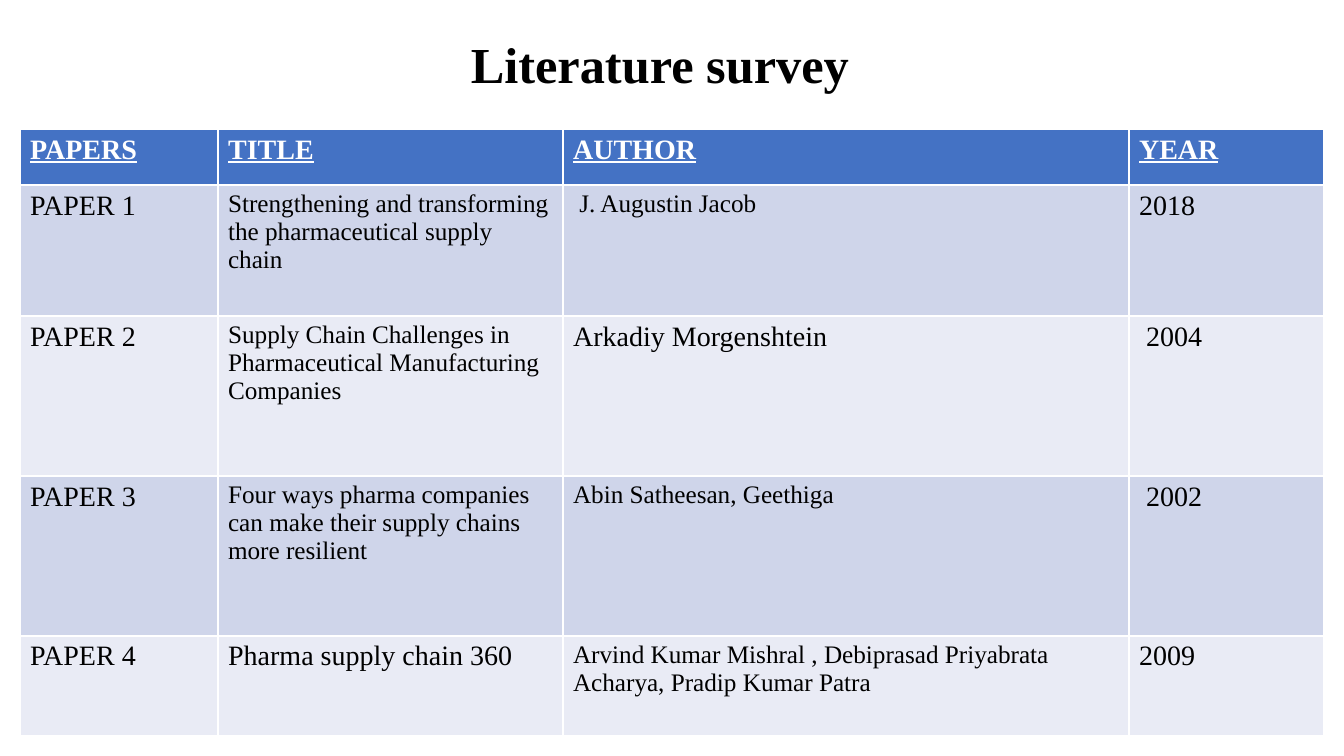
from pptx import Presentation
from pptx.dml.color import RGBColor
from pptx.enum.text import PP_ALIGN
from pptx.util import Pt

CENTER = PP_ALIGN.CENTER
FONT = "Times New Roman"
COLORS = {"head": "4472C4", "odd": "CFD5EA", "even": "E9EBF5",
          "light": "FFFFFF", "dark": "000000"}
SCALE = 12192000 / 1344


def px(n):
    return round(n * SCALE)


def style(para, size, color, bold=False, under=False):
    font = para.font
    font.name = FONT
    font.size = Pt(size)
    font.bold = bold
    font.underline = under
    font.color.rgb = RGBColor.from_string(COLORS[color])


deck = Presentation()
deck.slide_width, deck.slide_height = px(1344), px(756)
slide = deck.slides.add_slide(deck.slide_layouts[6])

title = slide.shapes.add_textbox(px(324), px(28), px(672), px(71)).text_frame
title.word_wrap = True
title.text = "Literature survey"
title.paragraphs[0].alignment = CENTER
style(title.paragraphs[0], 36, "dark", bold=True)

widths = [198, 345, 566, 195]
heights = [56, 131, 160, 160, 100]
papers = [
    [("PAPERS", 20), ("TITLE", 20), ("AUTHOR", 20), ("YEAR", 20)],
    [("PAPER 1", 20),
     ("Strengthening and transforming the pharmaceutical supply chain", 18),
     (" J. Augustin Jacob", 18), ("2018", 20)],
    [("PAPER 2", 20),
     ("Supply Chain Challenges in Pharmaceutical Manufacturing Companies", 18),
     ("Arkadiy Morgenshtein", 20), (" 2004", 20)],
    [("PAPER 3", 20),
     ("Four ways pharma companies can make their supply chains more resilient", 18),
     ("Abin Satheesan, Geethiga", 18), (" 2002", 20)],
    [("PAPER 4", 20), ("Pharma supply chain 360", 20),
     ("Arvind Kumar Mishral , Debiprasad Priyabrata Acharya, Pradip Kumar Patra", 18),
     ("2009", 20)],
]

table = slide.shapes.add_table(len(heights), len(widths), px(20), px(129),
                               px(sum(widths)), px(sum(heights))).table
for col, width in zip(table.columns, widths):
    col.width = px(width)

for i, (height, paper) in enumerate(zip(heights, papers)):
    table.rows[i].height = px(height)
    head = i == 0
    fill = "head" if head else "odd" if i % 2 else "even"
    for j, (text, size) in enumerate(paper):
        cell = table.cell(i, j)
        cell.fill.solid()
        cell.fill.fore_color.rgb = RGBColor.from_string(COLORS[fill])
        cell.text = text
        style(cell.text_frame.paragraphs[0], size,
              "light" if head else "dark", bold=head, under=head)

deck.save("out.pptx")
